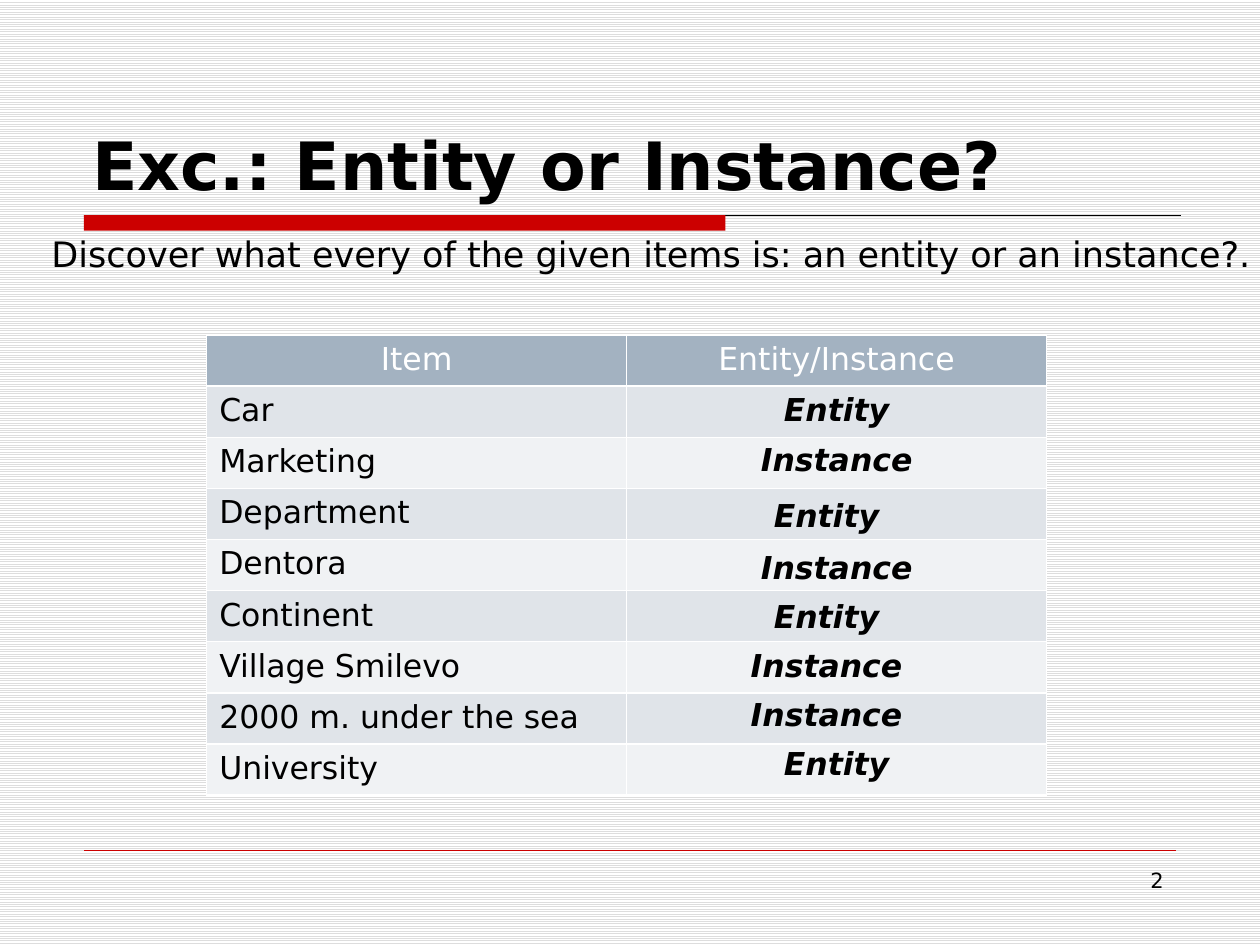
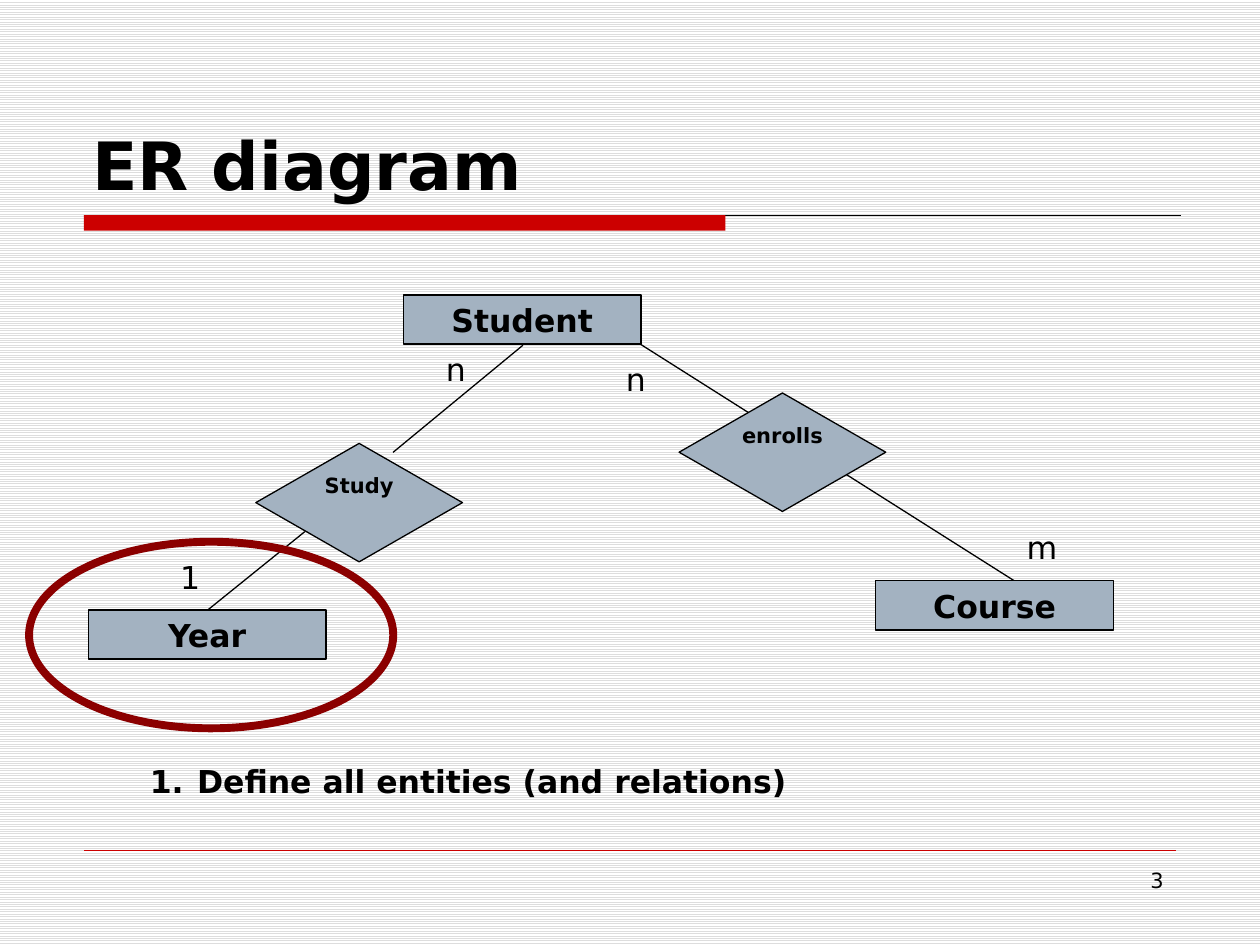
from dataclasses import dataclass

from lxml import etree
from pptx import Presentation
from pptx import util as u
from pptx.dml.color import RGBColor
from pptx.enum import dml, shapes, text
from pptx.oxml import ns

Pt = u.Pt


@dataclass(frozen=True)
class Theme:
    font: str = "DejaVu Sans"
    ink: RGBColor = RGBColor(0, 0, 0)
    paper: RGBColor = RGBColor(255, 255, 255)
    stripe: RGBColor = RGBColor(0xDD, 0xDD, 0xDD)
    red: RGBColor = RGBColor(0xCC, 0, 0)
    ring: RGBColor = RGBColor(0x8B, 0, 0)
    steel: RGBColor = RGBColor(0xA3, 0xB2, 0xC1)
    row_tints: tuple = (RGBColor(0xE0, 0xE4, 0xE9), RGBColor(0xF0, 0xF2, 0xF4))
    title: int = 38
    lead: int = 20
    body: int = 18
    small: int = 12


theme = Theme()
LEFT, CENTER, RIGHT = text.PP_ALIGN.LEFT, text.PP_ALIGN.CENTER, text.PP_ALIGN.RIGHT


def write(frame, words, size=theme.body, bold=False, italic=False,
          color=theme.ink, align=LEFT, wrap=True):
    """Put one styled run into the frame's first paragraph and return it."""
    frame.word_wrap = wrap
    if not wrap:
        frame.auto_size = text.MSO_AUTO_SIZE.SHAPE_TO_FIT_TEXT
    paragraph = frame.paragraphs[0]
    paragraph.alignment = align
    run = paragraph.add_run()
    run.text = words
    run.font.name = theme.font
    run.font.size = Pt(size)
    run.font.bold = bold
    run.font.italic = italic
    run.font.color.rgb = color
    return paragraph


def draw_line(slide, ends, color=theme.ink, width=0.75):
    line = slide.shapes.add_connector(shapes.MSO_CONNECTOR.STRAIGHT, *map(Pt, ends))
    line.line.color.rgb = color
    line.line.width = Pt(width)
    etree.SubElement(line._element.spPr, ns.qn("a:effectLst"))


prs = Presentation()
prs.slide_width, prs.slide_height = Pt(720), Pt(540)

# Shared background, title, red band, footer rule and page number
backdrop = prs.slide_master.background.fill
backdrop.patterned()
backdrop.pattern = dml.MSO_PATTERN.LIGHT_HORIZONTAL
backdrop.fore_color.rgb = theme.stripe
backdrop.back_color.rgb = theme.paper

slides = []
for page, heading in enumerate(("Exc.: Entity or Instance?", "ER diagram"), start=2):
    slide = prs.slides.add_slide(prs.slide_layouts[5])
    slides.append(slide)

    title = slide.shapes.title
    title.left, title.top, title.width, title.height = map(Pt, (45.4, 24, 630, 95.8))
    write(title.text_frame, heading, theme.title, bold=True)
    title.text_frame.auto_size = text.MSO_AUTO_SIZE.NONE
    title.text_frame.vertical_anchor = text.MSO_ANCHOR.BOTTOM

    draw_line(slide, (48, 123, 674.6, 123))
    band = slide.shapes.add_shape(shapes.MSO_SHAPE.RECTANGLE,
                                  *map(Pt, (48, 123, 366.5, 8.9)))
    band.shadow.inherit = False
    band.fill.solid()
    band.fill.fore_color.rgb = theme.red
    band.line.fill.background()

    draw_line(slide, (48, 486, 672, 486), theme.red, 0.25)
    page_number = slide.shapes.add_textbox(*map(Pt, (516, 492, 156, 37.4)))
    write(page_number.text_frame, str(page), theme.small, align=RIGHT)

exercise, diagram = slides

# Exercise: items and their kinds
task = exercise.shapes.add_textbox(*map(Pt, (22.3, 129.6, 714.2, 33.8)))
write(task.text_frame,
      "Discover what every of the given items is: an entity or an instance?.",
      theme.lead)

answer_lefts = (354.2, 360)
answers = [  # item, kind, answer column offset, answer top
    ("Car", "Entity", 1, 219.6),
    ("Marketing", "Instance", 1, 247.7),
    ("Department", "Entity", 0, 280.1),
    ("Dentora", "Instance", 1, 309.6),
    ("Continent", "Entity", 0, 337.7),
    ("Village Smilevo", "Instance", 0, 365.8),
    ("2000 m. under the sea", "Instance", 0, 393.8),
    ("University", "Entity", 1, 421.9),
]
rows = [("Item", "Entity/Instance")] + [(item, "") for item, *_ in answers]
row_height = 29.2
items = exercise.shapes.add_table(
    len(rows), 2, *map(Pt, (118.1, 191.5, 480, row_height * len(rows)))).table
for r, row in enumerate(rows):
    items.rows[r].height = Pt(row_height)
    for c, words in enumerate(row):
        cell = items.cell(r, c)
        cell_properties = cell._tc.get_or_add_tcPr()
        for side in ("lnL", "lnR", "lnT", "lnB"):
            border = etree.SubElement(cell_properties, ns.qn(f"a:{side}"), w=str(Pt(1)))
            paint = etree.SubElement(border, ns.qn("a:solidFill"))
            etree.SubElement(paint, ns.qn("a:srgbClr"), val=str(theme.paper))
        cell.fill.solid()
        cell.fill.fore_color.rgb = theme.steel if r == 0 else theme.row_tints[(r - 1) % 2]
        if words:
            write(cell.text_frame, words,
                  color=theme.paper if r == 0 else theme.ink,
                  align=CENTER if r == 0 else LEFT)

for _, kind, column, top in answers:
    answer = exercise.shapes.add_textbox(*map(Pt, (answer_lefts[column], top, 236.2, 28.8)))
    write(answer.text_frame, kind, bold=True, italic=True, align=CENTER)

# Diagram: relation lines lie behind entities and relations
for ends in ((365.8, 196.6, 579.6, 331.9),
             (224.6, 258.5, 298.8, 197.3),
             (174.2, 303.8, 118.8, 348.5)):
    draw_line(diagram, ends)

ENTITY = (shapes.MSO_SHAPE.RECTANGLE, 136, 28.1, theme.body)
RELATION = (shapes.MSO_SHAPE.DIAMOND, 118.1, 67.7, theme.small)
for words, left, top, (outline, width, height, size) in (
        ("Student", 230.4, 168.5, ENTITY),
        ("Year", 50.4, 348.5, ENTITY),
        ("Course", 500.4, 331.9, ENTITY),
        ("Study", 146.2, 253.4, RELATION),
        ("enrolls", 388.1, 224.6, RELATION)):
    node = diagram.shapes.add_shape(outline, *map(Pt, (left, top, width, height)))
    node.shadow.inherit = False
    node.fill.solid()
    node.fill.fore_color.rgb = theme.steel
    node.line.color.rgb = theme.ink
    node.line.width = Pt(0.75)
    frame = node.text_frame
    frame.vertical_anchor = text.MSO_ANCHOR.TOP
    if outline == shapes.MSO_SHAPE.DIAMOND:
        frame.margin_left = frame.margin_right = frame.margin_top = frame.margin_bottom = 0
    write(frame, words, size, bold=True, align=CENTER)

for words, left, top, width in (("n", 247.7, 196.6, 25.9), ("1", 95.8, 315.4, 25.9),
                                ("n", 350.6, 202.3, 25.9), ("m", 579.6, 298.1, 32.4)):
    cardinality = diagram.shapes.add_textbox(*map(Pt, (left, top, width, 28.8)))
    write(cardinality.text_frame, words, wrap=False)

step = diagram.shapes.add_textbox(*map(Pt, (78.5, 432, 382.3, 28.8)))
numbered = write(step.text_frame, "Define all entities (and relations)",
                 bold=True, wrap=False)
numbering = numbered._p.get_or_add_pPr()
numbering.set("marL", str(Pt(27)))
numbering.set("indent", str(Pt(-27)))
etree.SubElement(numbering, ns.qn("a:buAutoNum"), type="arabicPeriod")

highlight = diagram.shapes.add_shape(shapes.MSO_SHAPE.OVAL,
                                     *map(Pt, (16.6, 309.6, 208.1, 106.6)))
highlight.shadow.inherit = False
highlight.fill.background()
highlight.line.color.rgb = theme.ring
highlight.line.width = Pt(4.5)

prs.save("out.pptx")
